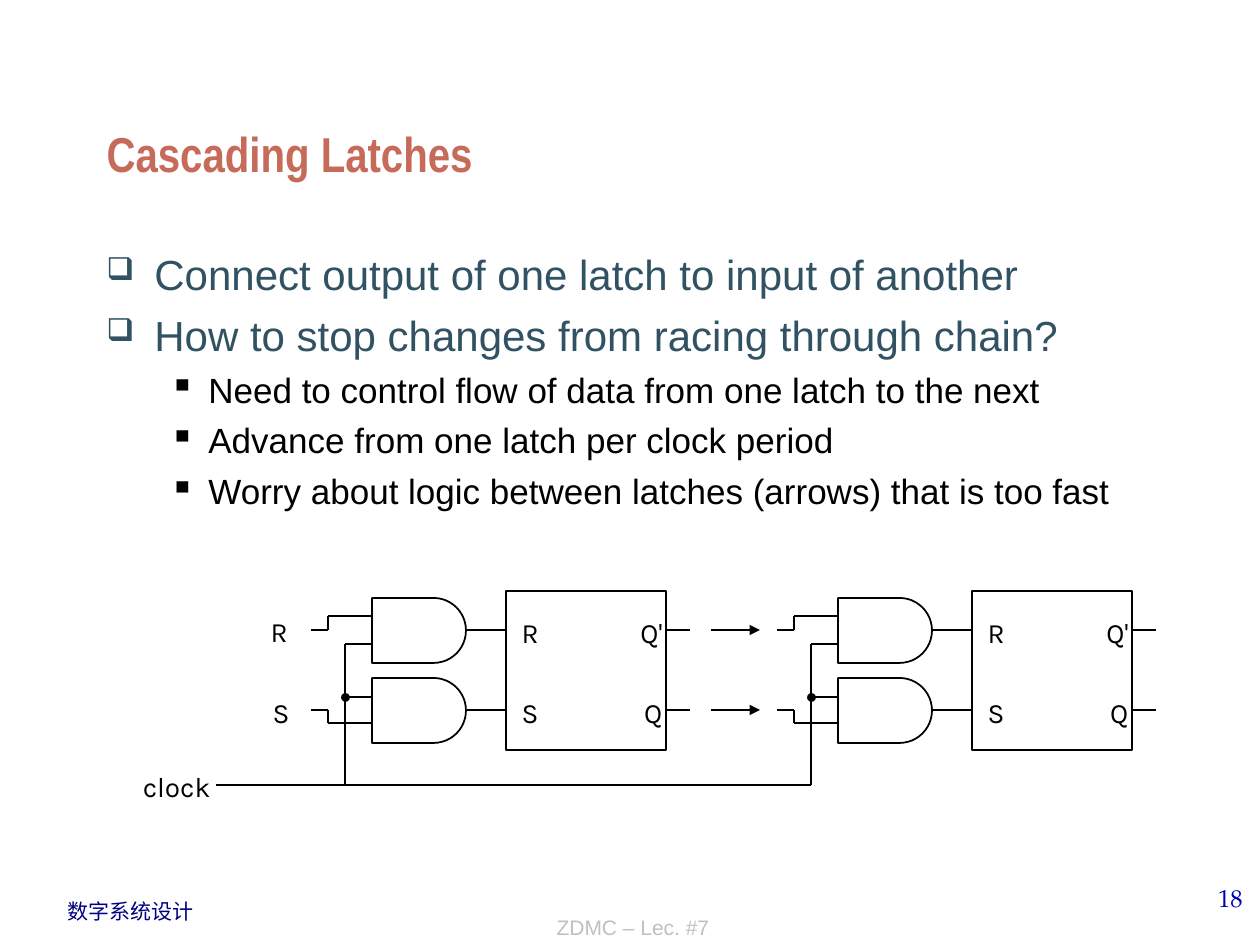
from math import cos, pi, sin

from lxml.etree import SubElement
from pptx import Presentation
from pptx.dml.color import RGBColor
from pptx.enum.shapes import MSO_CONNECTOR, MSO_SHAPE
from pptx.enum.text import MSO_ANCHOR, MSO_AUTO_SIZE, PP_ALIGN
from pptx.oxml.ns import qn
from pptx.util import Pt

PX = 914400 / 126
LEFT, CENTER, RIGHT = PP_ALIGN.LEFT, PP_ALIGN.CENTER, PP_ALIGN.RIGHT

THEME = {
    "title": ("Arial Narrow", 28, "C66B5A"),
    "point": ("Arial", 24, "315263"),
    "subpoint": ("Arial", 20, "000000"),
    "label": ("Karla", 16, "000000"),
    "course": ("Arial", 12, "000082"),
    "lecture": ("Arial", 12, "C0C0C0"),
    "number": ("TeX Gyre Pagella", 14, "0000B6"),
    "ink": "000000",
    "paper": "FFFFFF",
}
TITLE = "Cascading Latches"
BULLETS = [
    ("point", "Connect output of one latch to input of another"),
    ("point", "How to stop changes from racing through chain?"),
    ("subpoint", "Need to control flow of data from one latch to the next"),
    ("subpoint", "Advance from one latch per clock period"),
    ("subpoint", "Worry about logic between latches (arrows) that is too fast"),
]
BULLET_STYLE = {
    "point": dict(char="❑", size=75, margin=48, indent=-48, before=6),
    "subpoint": dict(char="▪", size=100, margin=102, indent=-39, before=5),
}
FOOTERS = [
    ("course", "数字系统设计", (55, 892, 170, 38), LEFT, MSO_ANCHOR.TOP),
    ("number", "18", (993, 877, 262, 63), RIGHT, MSO_ANCHOR.TOP),
    ("lecture", "ZDMC – Lec. #7", (326, 882, 614, 64), CENTER, MSO_ANCHOR.BOTTOM),
]

STAGES, STAGE_STEP = 2, 466
ROWS, ROW_STEP = 2, 80
GATE_X, GATE_Y, GATE_W, GATE_H = 372, 598, 94, 65
BOX = (506, 591, 160, 159)
ROW_Y = 630
CLOCK_X, CLOCK_Y = 345, 785
CLOCK_TAPS = (644, 697)
INPUT_Y = (616, 723)
LABELS = [
    ("R", (268, 606, 81, 55), LEFT, 21.7),
    ("S", (270, 687, 80, 55), LEFT, 21.7),
    ("clock", (83, 761, 130, 55), RIGHT, 21.7),
]
BOX_LABELS = [("R", "Q'"), ("S", "Q")]


def emu(*lengths):
    return [round(v * PX) for v in lengths]


def rgb(value):
    return RGBColor.from_string(value)


def style(p, name, bold=False):
    face, size, color = THEME[name]
    for r in p.runs:
        r.font.name, r.font.size, r.font.bold = face, Pt(size), bold
        r.font.color.rgb = rgb(color)


def text_box(s, name, text, at, align=LEFT, anchor=MSO_ANCHOR.TOP):
    tf = s.shapes.add_textbox(*emu(*at)).text_frame
    tf.word_wrap, tf.vertical_anchor = True, anchor
    tf.text = text
    p = tf.paragraphs[0]
    p.alignment = align
    style(p, name)
    return tf


def label(s, text, at, align, spacing):
    tf = text_box(s, "label", text, at, align)
    tf.margin_left = tf.margin_right = Pt(1.5)
    tf.margin_top = tf.margin_bottom = Pt(2.2)
    tf.paragraphs[0].line_spacing = Pt(spacing)


def add_bullet(p, name):
    look = BULLET_STYLE[name]
    pPr = p._p.get_or_add_pPr()
    margin, indent = emu(look["margin"], look["indent"])
    pPr.set("marL", str(margin))
    pPr.set("indent", str(indent))
    color = SubElement(pPr, qn("a:buClr"))
    SubElement(color, qn("a:srgbClr"), val=THEME[name][2])
    SubElement(pPr, qn("a:buSzPct"), val=str(look["size"] * 1000))
    SubElement(pPr, qn("a:buChar"), char=look["char"])


def wire(s, x1, y1, x2, y2, arrow=False):
    c = s.shapes.add_connector(MSO_CONNECTOR.STRAIGHT, *emu(x1, y1, x2, y2))
    c.line.width = Pt(1)
    c.line.color.rgb = rgb(THEME["ink"])
    SubElement(c._element.spPr, qn("a:effectLst"))
    if arrow:
        SubElement(c.line._get_or_add_ln(), qn("a:tailEnd"), type="triangle")


def paint(shape, fill):
    shape.shadow.inherit = False
    shape.fill.solid()
    shape.fill.fore_color.rgb = rgb(THEME[fill])
    shape.line.color.rgb = rgb(THEME["ink"])
    shape.line.width = Pt(1)


def and_gate(s, x, y):
    radius = GATE_H / 2
    cx, cy = x + GATE_W - radius, y + radius
    angles = [pi * (i / 24 - 0.5) for i in range(25)]
    arc = [(cx + radius * cos(a), cy + radius * sin(a)) for a in angles]
    points = [emu(*pt) for pt in [*arc, (x, y + GATE_H)]]
    outline = s.shapes.build_freeform(*emu(x, y))
    outline.add_line_segments(points, close=True)
    paint(outline.convert_to_shape(), "paper")


def latch(s, dx):
    left, top, width, height = BOX
    box = s.shapes.add_shape(MSO_SHAPE.RECTANGLE, *emu(left + dx, top, width, height))
    paint(box, "paper")
    for row in range(ROWS):
        y, bend = ROW_Y + row * ROW_STEP, INPUT_Y[row]
        gate_x, elbow, right = GATE_X + dx, 328 + dx, left + width + dx
        and_gate(s, gate_x, GATE_Y + row * ROW_STEP)
        wire(s, 311 + dx, y, elbow, y)
        wire(s, elbow, y, elbow, bend)
        wire(s, elbow, bend, gate_x, bend)
        wire(s, CLOCK_X + dx, CLOCK_TAPS[row], gate_x, CLOCK_TAPS[row])
        wire(s, gate_x + GATE_W, y, left + dx, y)
        wire(s, right, y, right + 24, y)
        inner, outer = BOX_LABELS[row]
        label(s, inner, (519 + dx, y - 21, 50, 54), LEFT, 20.8)
        label(s, outer, (right - 76, y - 21, 75, 54), RIGHT, 20.8)
    wire(s, CLOCK_X + dx, CLOCK_TAPS[0], CLOCK_X + dx, CLOCK_Y)
    dot = s.shapes.add_shape(
        MSO_SHAPE.OVAL, *emu(CLOCK_X + dx - 3, CLOCK_TAPS[1] - 3, 7, 7))
    paint(dot, "ink")


def main():
    prs = Presentation()
    prs.slide_width, prs.slide_height = emu(1260, 945)
    s = prs.slides.add_slide(prs.slide_layouts[5])

    title = s.shapes.title
    title.left, title.top, title.width, title.height = emu(94, 32, 1071, 157)
    tf = title.text_frame
    tf.text = TITLE
    tf.auto_size, tf.vertical_anchor = MSO_AUTO_SIZE.NONE, MSO_ANCHOR.BOTTOM
    tf.paragraphs[0].alignment = LEFT
    style(tf.paragraphs[0], "title", bold=True)

    tf = text_box(s, "point", "", (94, 242, 1071, 290))
    for i, (name, text) in enumerate(BULLETS):
        p = tf.add_paragraph() if i else tf.paragraphs[0]
        p.text = text
        p.level = int(name == "subpoint")
        add_bullet(p, name)
        p.space_before = Pt(BULLET_STYLE[name]["before"] if i else 0)
        style(p, name)

    for stage in range(STAGES):
        latch(s, stage * STAGE_STEP)
    for row in range(ROWS):
        y = ROW_Y + row * ROW_STEP
        wire(s, 711, y, 760, y, arrow=True)
    wire(s, 216, CLOCK_Y, CLOCK_X + STAGE_STEP, CLOCK_Y)
    for item in LABELS:
        label(s, *item)
    for item in FOOTERS:
        text_box(s, *item)

    prs.save("out.pptx")


if __name__ == "__main__":
    main()
